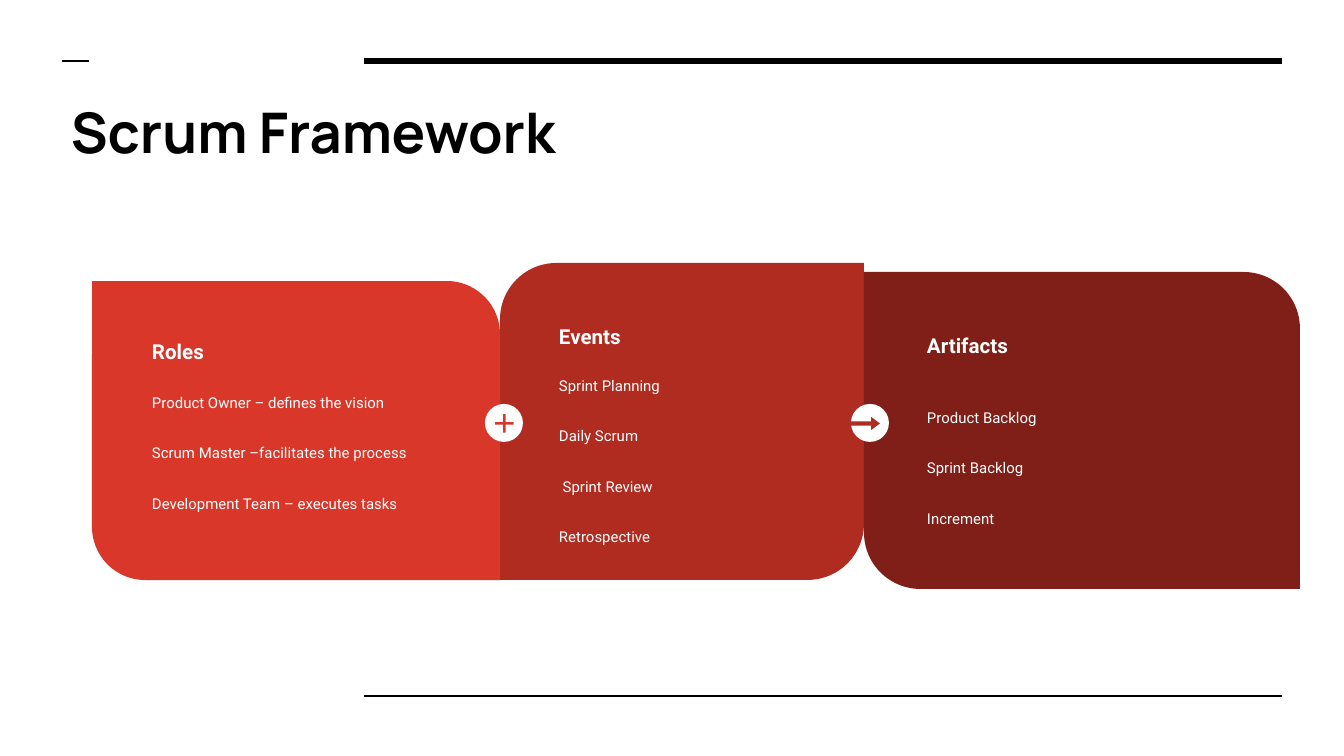
from lxml.etree import SubElement
from pptx import Presentation
from pptx.dml.color import RGBColor
from pptx.enum.shapes import MSO_CONNECTOR as Connector, MSO_SHAPE as Shape
from pptx.enum.text import MSO_ANCHOR as Anchor
from pptx.oxml.ns import qn
from pptx.util import Pt

PX = 914400 / 134.4


def px(*lengths):
    """Turn pixel lengths into EMU."""
    return [round(length * PX) for length in lengths]


def color(fmt, value):
    """Set a fill or font format to a solid hex colour."""
    if hasattr(fmt, "solid"):
        fmt.solid()
        fmt = fmt.fore_color
    fmt.rgb = RGBColor.from_string(value)


deck = Presentation()
deck.slide_width, deck.slide_height = px(1344, 756)
page = deck.slides.add_slide(deck.slide_layouts[6])

# Rules: left, right, y, weight
for left, right, y, weight in [(364, 1282, 61, 3), (364, 1282, 696, 1.5), (62, 89, 61, 1.5)]:
    rule = page.shapes.add_connector(Connector.STRAIGHT, *px(left, y, right, y))
    color(rule.line.fill, "000000")
    rule.line.width = Pt(weight)
    SubElement(rule._element.spPr, qn("a:effectLst"))

# Cards: place, corner roundings, fill; then each text's place and content
RED, DARK_RED, MAROON, WHITE = "D83729", "B02B20", "801F17", "FFFFFF"
cards = [
    ((500, 263, 364, 317), (0.178, 0), DARK_RED,
     (546, 312, 271, 50), "Events", (546, 361, 271, 148),
     ["Sprint Planning", "Daily Scrum", " Sprint Review", "Retrospective"]),
    ((92, 281, 408, 299), (0, 0.178), RED,
     (139, 327, 305, 51), "Roles", (139, 378, 305, 176),
     ["Product Owner – defines the vision", "Scrum Master –facilitates the process",
      "Development Team – executes tasks"]),
    ((864, 272, 436, 317), (0, 0.178), MAROON,
     (914, 321, 352, 38), "Artifacts", (914, 393, 352, 167),
     ["Product Backlog", "Sprint Backlog", "Increment"]),
]

# Shapes: preset, place, adjustments, fill
shapes = [(Shape.ROUND_2_DIAG_RECTANGLE, *card[:3]) for card in cards]
shapes += [
    (Shape.OVAL, (851, 404, 38, 38), (), WHITE),
    (Shape.RIGHT_ARROW, (851, 417, 29, 13), (0.32, 0.67), DARK_RED),
    (Shape.OVAL, (485, 404, 38, 38), (), WHITE),
    (Shape.MATH_PLUS, (492, 411, 25, 25), (0.1,), RED),
]
for preset, place, adjustments, fill in shapes:
    shape = page.shapes.add_shape(preset, *px(*place))
    for index, value in enumerate(adjustments):
        shape.adjustments[index] = value
    shape.shadow.inherit = False
    color(shape.fill, fill)
    shape.line.fill.background()

# Texts: place, lines, font, size, bold, colour, line spacing, anchor
texts = [((58, 85, 1224, 93), ["Scrum Framework"], "Manrope", 30, True, "000000", 1, Anchor.MIDDLE)]
for _, _, _, heading_place, heading, body_place, items in cards:
    texts.append((heading_place, [heading], "Roboto", 11, True, WHITE, 1, Anchor.TOP))
    texts.append((body_place, items, "Roboto", 8, False, WHITE, 1.15, Anchor.TOP))

for place, lines, font, size, bold, ink, spacing, anchor in texts:
    box = page.shapes.add_textbox(*px(*place))
    frame = box.text_frame
    frame.word_wrap = True
    frame.vertical_anchor = anchor
    frame.margin_left, frame.margin_top, frame.margin_right, frame.margin_bottom = px(13, 13, 13, 13)
    for index, line in enumerate(lines):
        para = frame.add_paragraph() if index else frame.paragraphs[0]
        para.line_spacing = spacing
        if index:
            para.space_before = Pt(16)
        span = para.add_run()
        span.text = line
        span.font.name = font
        span.font.size = Pt(size)
        span.font.bold = bold
        color(span.font.color, ink)

deck.save("out.pptx")
